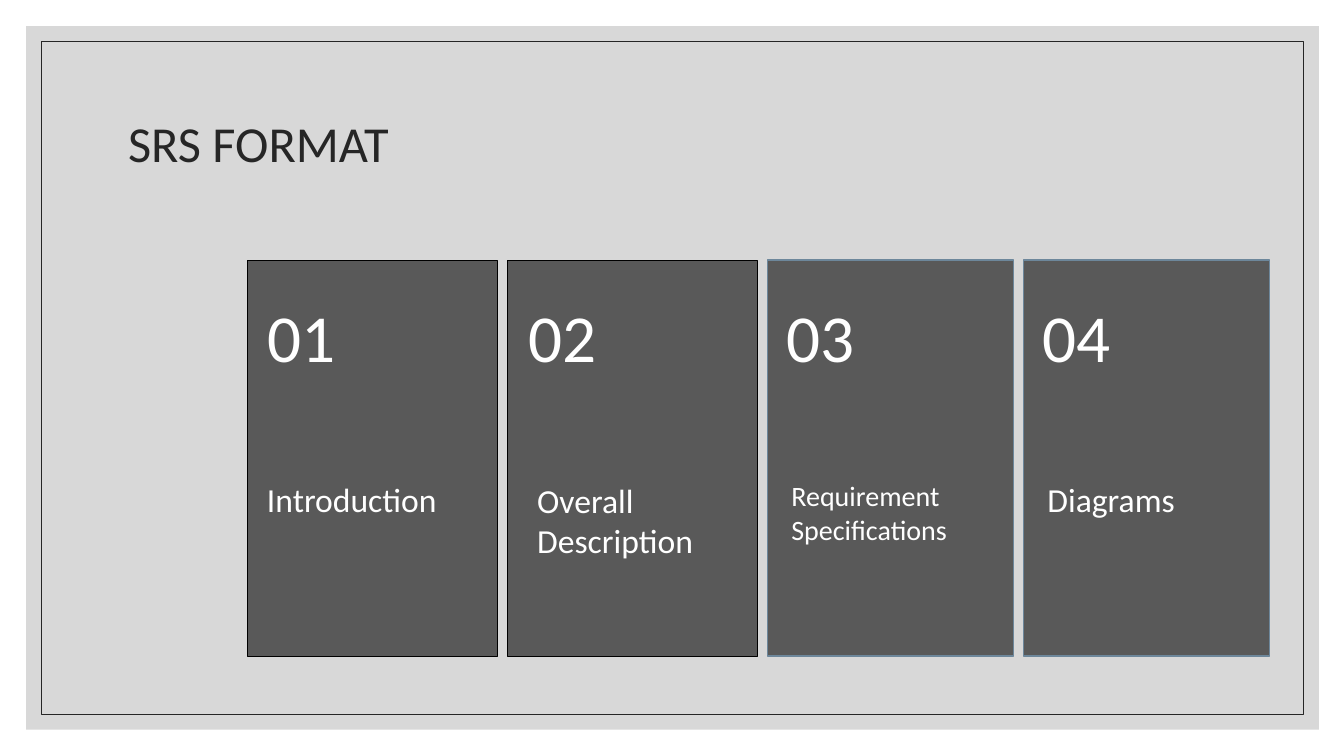
from lxml import etree
from pptx import Presentation
from pptx.dml.color import RGBColor
from pptx.enum.shapes import MSO_SHAPE
from pptx.enum.text import MSO_ANCHOR, PP_ALIGN
from pptx.oxml.ns import qn
from pptx.util import Emu, Pt

RECTANGLE = MSO_SHAPE.RECTANGLE
PROCESS = MSO_SHAPE.FLOWCHART_PROCESS
LEFT = PP_ALIGN.LEFT
TOP, MIDDLE = MSO_ANCHOR.TOP, MSO_ANCHOR.MIDDLE

FONT = "Calibri"
WHITE = RGBColor(0xFF, 0xFF, 0xFF)
BLACK = RGBColor(0, 0, 0)
INK = RGBColor(0x26, 0x26, 0x26)
BACKDROP = RGBColor(0xBF, 0xBF, 0xBF)
CARD = RGBColor(0x59, 0x59, 0x59)
STEEL = RGBColor(0x6D, 0x87, 0x9B)

CARD_GAP = 10
NUMBER_WIDTH = 226
CARDS = [
    ("01", ["Introduction"], 24, 248, BLACK, 0.5, (10, 212, 260, 50)),
    ("02", ["Overall Description"], 24, 248, BLACK, 0.5, (20, 213, 222, 91)),
    ("03", ["Requirement", "Specifications"], 20, 244, STEEL, 1, (14, 212, 222, 77)),
    ("04", ["Diagrams"], 24, 244, STEEL, 1, (14, 212, 218, 50)),
]


def px(length):
    """Turn px, a hundred to the inch, into EMU."""
    return Emu(length * 9144)


def add_panel(slide, kind, box, fill=None, line=None, weight=0.5):
    """Add a shape with the given fill and outline, or none."""
    panel = slide.shapes.add_shape(kind, *map(px, box))
    panel.shadow.inherit = False
    if fill is None:
        panel.fill.background()
    else:
        panel.fill.solid()
        panel.fill.fore_color.rgb = fill
    if line is None:
        panel.line.fill.background()
    else:
        panel.line.color.rgb = line
        panel.line.width = Pt(weight)
    return panel


def write_lines(frame, lines, size, color, anchor=TOP):
    """Write one left-aligned paragraph for each line."""
    frame.word_wrap = True
    frame.vertical_anchor = anchor
    for index, line in enumerate(lines):
        paragraph = frame.add_paragraph() if index else frame.paragraphs[0]
        paragraph.alignment = LEFT
        run = paragraph.add_run()
        run.text = line
        run.font.name = FONT
        run.font.size = Pt(size)
        run.font.color.rgb = color


def add_label(slide, box, lines, size):
    """Add white text in the given box."""
    label = slide.shapes.add_textbox(*map(px, box))
    write_lines(label.text_frame, lines, size, WHITE)


def add_frame(slide, box):
    """Draw the translucent backdrop with an outline inset in it."""
    left, top, width, height = box
    backdrop = add_panel(slide, RECTANGLE, box, BACKDROP)
    color = backdrop.fill._xPr.find(qn("a:solidFill"))[0]
    etree.SubElement(color, qn("a:alpha")).set("val", "60000")
    inset = 15
    inner = (left + inset, top + inset, width - 2 * inset, height - 2 * inset)
    add_panel(slide, RECTANGLE, inner, line=INK)


def add_title(slide, box, text):
    """Set the title placeholder in front of the frame."""
    title = slide.shapes.title
    title.left, title.top, title.width, title.height = map(px, box)
    write_lines(title.text_frame, [text], 36, INK, MIDDLE)
    title.text_frame.paragraphs[0].line_spacing = 0.9
    slide.shapes._spTree.append(title._element)


def add_cards(slide, box):
    """Lay the numbered cards from left to right in the box."""
    left, top, _, height = box
    for number, caption, size, width, line, weight, place in CARDS:
        add_panel(slide, PROCESS, (left, top, width, height), CARD, line, weight)
        number_left = left + (width - NUMBER_WIDTH) // 2
        add_label(slide, (number_left, top + 30, NUMBER_WIDTH, 85), [number], 48)
        inset, drop, caption_width, caption_height = place
        caption_box = (left + inset, top + drop, caption_width, caption_height)
        add_label(slide, caption_box, caption, size)
        left += width + CARD_GAP


def main():
    """Build the slide and save it."""
    deck = Presentation()
    deck.slide_width, deck.slide_height = px(1333), px(750)
    slide = deck.slides.add_slide(deck.slide_layouts[5])
    add_frame(slide, (26, 26, 1282, 698))
    add_title(slide, (117, 70, 1100, 150), "SRS FORMAT")
    add_cards(slide, (245, 258, 1014, 393))
    deck.save("out.pptx")


if __name__ == "__main__":
    main()
